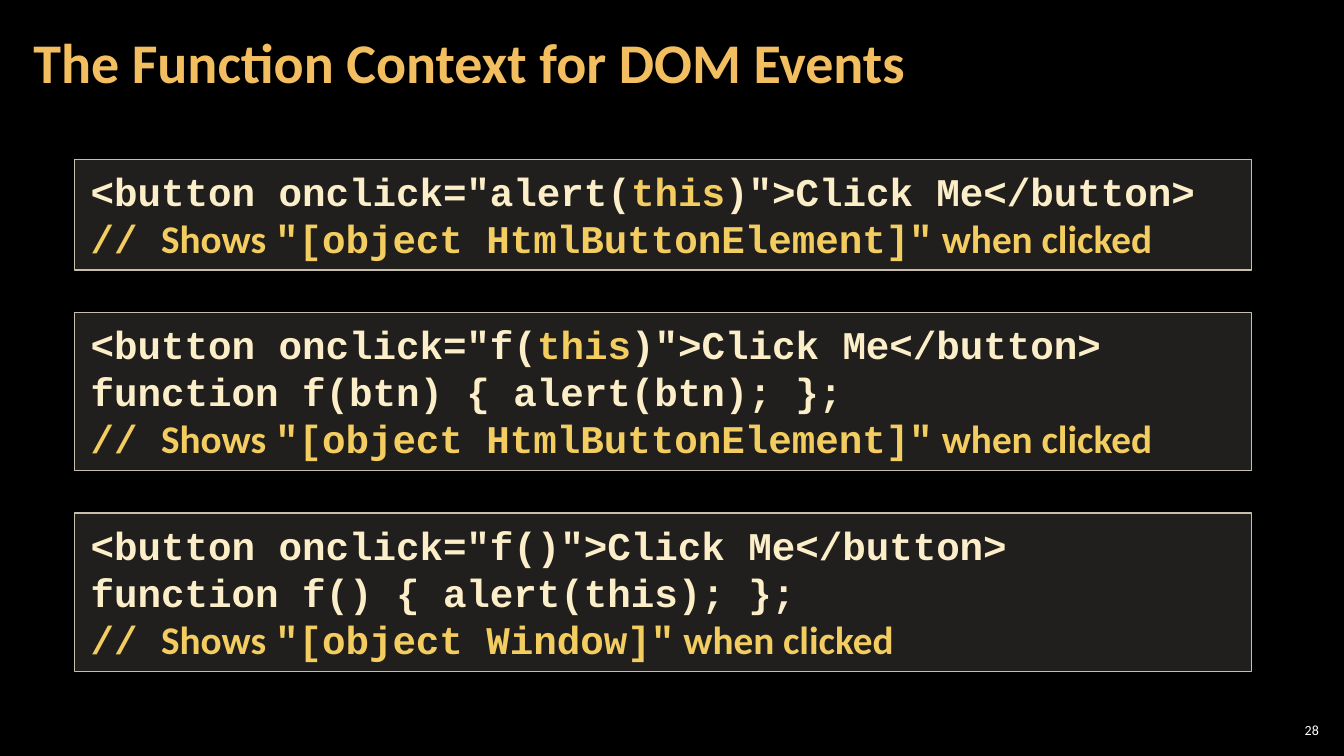
from lxml.etree import SubElement
from pptx import Presentation
from pptx.dml.color import RGBColor
from pptx.enum.shapes import MSO_SHAPE
from pptx.enum.text import MSO_ANCHOR, MSO_AUTO_SIZE, PP_ALIGN
from pptx.oxml.ns import qn
from pptx.util import Inches, Pt

WIDE, HIGH = Inches(13.33), Inches(7.5)
COLORS = {"back": "000000", "title": "F3BE60", "code": "FBEEC9", "note": "F3CD60",
          "panel": "D9D5C7", "edge": "C7BFAC", "page": "FFFFFF"}
SANS, MONO = "Calibri", "Courier New"

# Panel grid, in percent of the slide
LEFT, SPAN, TOP = 5.55, 87.55, 21.07
ROW, PAD, GAP = 6.27, 2.13, 5.6


def color(name):
    return RGBColor.from_string(COLORS[name])


def area(left, top, width, height):
    """Turn percent of the slide into lengths."""
    return [int(share * side / 100) for share, side in
            zip((left, top, width, height), (WIDE, HIGH, WIDE, HIGH))]


def place(shape, box):
    shape.left, shape.top, shape.width, shape.height = box


def write(shape, lines, size, bold=False, align=PP_ALIGN.LEFT, anchor=MSO_ANCHOR.MIDDLE,
          inset=(0.12, 0.04), spacing=None, fit=MSO_AUTO_SIZE.NONE):
    """Fill a shape with lines, each a list of (text, font, color) runs."""
    frame = shape.text_frame
    frame.word_wrap, frame.auto_size, frame.vertical_anchor = True, fit, anchor
    frame.margin_left = frame.margin_right = Inches(inset[0])
    frame.margin_top = frame.margin_bottom = Inches(inset[1])
    for index, line in enumerate(lines):
        para = frame.add_paragraph() if index else frame.paragraphs[0]
        para.alignment = align
        if spacing:
            para.line_spacing = spacing
        for text, font, tint in line:
            run = para.add_run()
            run.text = text
            run.font.name, run.font.size, run.font.bold = font, Pt(size), bold
            run.font.color.rgb = color(tint)


def code(text, mark=None):
    """Code line, with one word picked out in the note color."""
    if not mark:
        return [(text, MONO, "code")]
    head, tail = text.split(mark)
    return [(head, MONO, "code"), (mark, MONO, "note"), (tail, MONO, "code")]


def note(kind):
    return [("// ", MONO, "note"), ("Shows ", SANS, "note"),
            (f'"[object {kind}]"', MONO, "note"), (" when clicked", SANS, "note")]


def panel(slide, top, lines):
    """Draw a code panel and return the top of the next one."""
    height = PAD + ROW * len(lines)
    shape = slide.shapes.add_shape(MSO_SHAPE.RECTANGLE, *area(LEFT, top, SPAN, height))
    shape.shadow.inherit = False
    shape.fill.solid()
    shape.fill.fore_color.rgb = color("panel")
    tint = shape.fill._xPr.find(qn("a:solidFill"))[0]
    SubElement(tint, qn("a:alpha"), val="15000")
    shape.line.color.rgb = color("edge")
    shape.line.width = Pt(1)
    write(shape, lines, 28, bold=True, anchor=MSO_ANCHOR.TOP, inset=(0.16, 0.08),
          fit=MSO_AUTO_SIZE.SHAPE_TO_FIT_TEXT)
    return top + height + GAP


def main():
    deck = Presentation()
    deck.slide_width, deck.slide_height = WIDE, HIGH
    slide = deck.slides.add_slide(deck.slide_layouts[5])
    slide.background.fill.solid()
    slide.background.fill.fore_color.rgb = color("back")

    # Title
    title = slide.shapes.title
    place(title, area(1.58, 0.53, 80.12, 16.13))
    write(title, [[("The Function Context for DOM Events", SANS, "title")]], 40,
          bold=True, spacing=0.9)

    # Code panels
    panels = [
        [code('<button onclick="alert(this)">Click Me</button>', "this"),
         note("HtmlButtonElement")],
        [code('<button onclick="f(this)">Click Me</button>', "this"),
         code("function f(btn) { alert(btn); };"),
         note("HtmlButtonElement")],
        [code('<button onclick="f()">Click Me</button>'),
         code("function f() { alert(this); };"),
         note("Window")],
    ]
    top = TOP
    for lines in panels:
        top = panel(slide, top, lines)

    # Page number
    page = slide.shapes.add_textbox(*area(94.9, 95.2, 3.53, 2.8))
    write(page, [[("28", SANS, "page")]], 10, align=PP_ALIGN.RIGHT, inset=(0.04, 0.04))

    deck.save("out.pptx")


if __name__ == "__main__":
    main()
